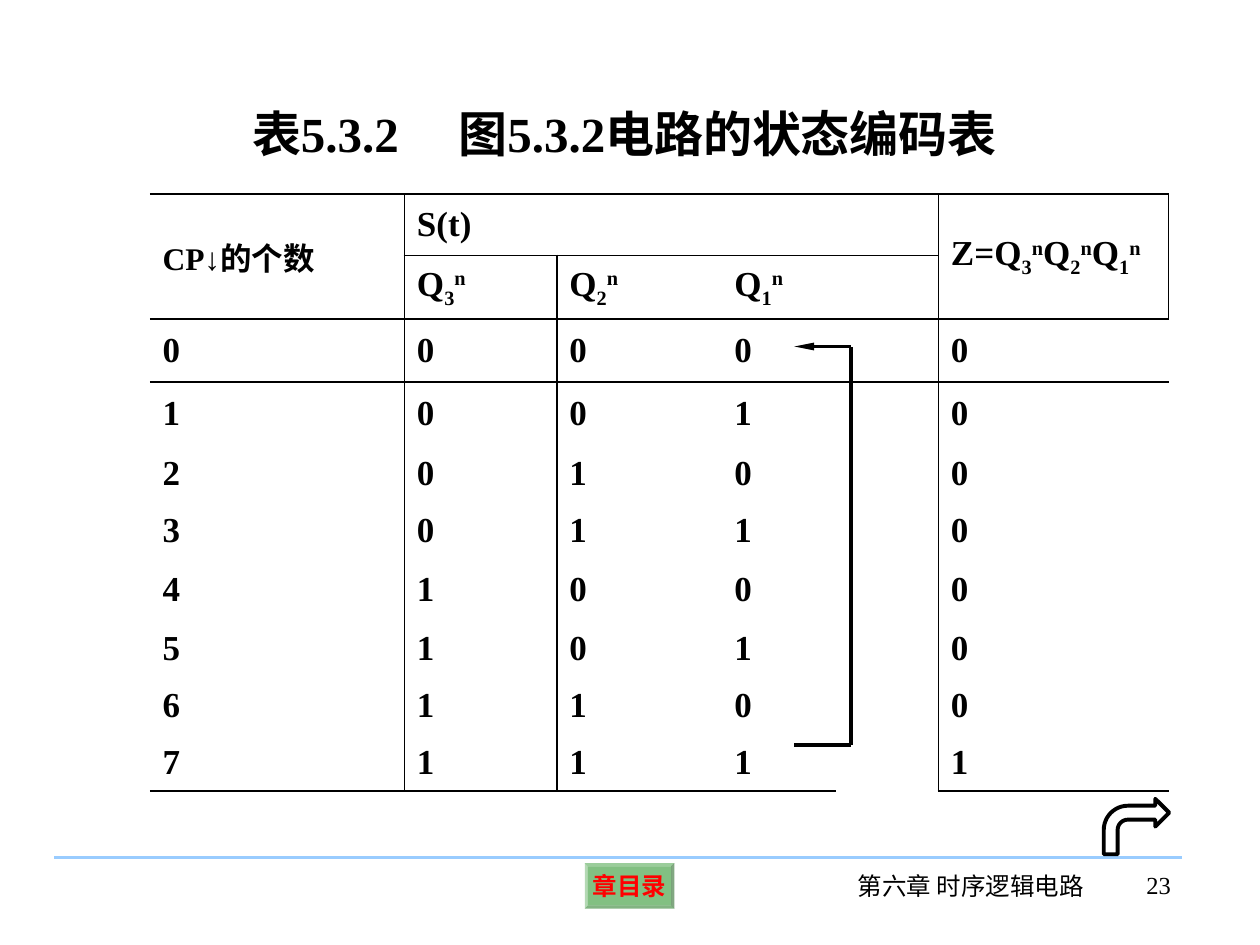
from dataclasses import dataclass

from lxml.etree import SubElement
from pptx import Presentation
from pptx.dml.color import RGBColor
from pptx.enum.shapes import MSO_CONNECTOR, MSO_SHAPE
from pptx.enum.text import MSO_ANCHOR, MSO_AUTO_SIZE, PP_ALIGN
from pptx.oxml.ns import qn
from pptx.util import Pt


@dataclass(frozen=True)
class Theme:
    font: str = "Times New Roman"
    ink: RGBColor = RGBColor(0, 0, 0)
    rule: RGBColor = RGBColor(0x99, 0xCC, 0xFF)
    button: RGBColor = RGBColor(0, 0x80, 0)
    button_text: RGBColor = RGBColor(0xFF, 0, 0)
    title_size: float = 28
    table_size: float = 20
    label_size: float = 18
    footer_size: float = 14
    stroke: float = 2.25
    border: float = 1.08


THEME = Theme()
NO_STYLE = "{2D5ABB26-0587-4C30-8999-92F81FD0307C}"
BASELINES = {"_": "-25000", "^": "30000"}
COLUMN_WIDTHS = [145.4, 87.1, 94.3, 65.5, 58.3, 131.6]
ROW_HEIGHTS = [35.1, 36.3, 36, 36, 32.6, 32.6, 34.9, 32.6, 32.6, 32.6]
COUNTS = range(8)
HEADER_ROWS = 2
LAST_ROW = len(ROW_HEIGHTS) - 1
SPACER, OUTPUT = 4, 5


def points(*lengths):
    return [Pt(length) for length in lengths]


def style_run(run, size, color=THEME.ink, bold=False):
    run.font.name = THEME.font
    run.font.size = Pt(size)
    run.font.bold = bold
    run.font.color.rgb = color


def add_title(slide, text, box, tab_stop):
    title = slide.shapes.title
    title.left, title.top, title.width, title.height = points(*box)
    frame = title.text_frame
    frame.text = text
    frame.auto_size = MSO_AUTO_SIZE.NONE
    frame.vertical_anchor = MSO_ANCHOR.TOP
    paragraph = frame.paragraphs[0]
    paragraph.alignment = PP_ALIGN.LEFT
    tabs = SubElement(paragraph._p.get_or_add_pPr(), qn("a:tabLst"))
    SubElement(tabs, qn("a:tab"), pos=str(Pt(tab_stop)), algn="l")
    style_run(paragraph.runs[0], THEME.title_size, bold=True)


def add_footer(slide, text, box, alignment):
    frame = slide.shapes.add_textbox(*points(*box)).text_frame
    frame.word_wrap = True
    frame.text = text
    frame.paragraphs[0].alignment = alignment
    style_run(frame.paragraphs[0].runs[0], THEME.footer_size)


def add_line(slide, start, end, color=THEME.ink, arrow=False):
    line = slide.shapes.add_connector(MSO_CONNECTOR.STRAIGHT, *points(*start, *end))
    line.line.color.rgb = color
    line.line.width = Pt(THEME.stroke)
    if arrow:
        SubElement(line.line._get_or_add_ln(), qn("a:tailEnd"),
                   type="triangle", w="sm", len="lg")
    SubElement(line._element.spPr, qn("a:effectLst"))


def add_button(slide, text, box):
    button = slide.shapes.add_shape(MSO_SHAPE.BEVEL, *points(*box))
    button.shadow.inherit = False
    button.adjustments[0] = 0.07
    button.fill.solid()
    button.fill.fore_color.rgb = THEME.button
    color = button._element.spPr.find(qn("a:solidFill"))[0]
    SubElement(color, qn("a:alpha"), val="49000")
    button.line.fill.background()
    frame = button.text_frame
    frame.word_wrap = False
    frame.margin_left = frame.margin_right = Pt(0)
    frame.margin_top = frame.margin_bottom = Pt(0)
    frame.vertical_anchor = MSO_ANCHOR.MIDDLE
    frame.text = text
    frame.paragraphs[0].alignment = PP_ALIGN.CENTER
    style_run(frame.paragraphs[0].runs[0], THEME.footer_size, THEME.button_text, True)


def add_next_arrow(slide, box):
    arrow = slide.shapes.add_shape(MSO_SHAPE.BENT_ARROW, *points(*box))
    arrow.shadow.inherit = False
    arrow.fill.background()
    arrow.line.color.rgb = THEME.ink
    arrow.line.width = Pt(THEME.stroke)
    SubElement(arrow.line._get_or_add_ln(), qn("a:round"))


def write_formula(cell, formula, size=THEME.table_size):
    cell.vertical_anchor = MSO_ANCHOR.MIDDLE
    paragraph = cell.text_frame.paragraphs[0]
    baseline = None
    for symbol in formula:
        if symbol in BASELINES:
            baseline = BASELINES[symbol]
            continue
        if baseline or not paragraph.runs or paragraph.runs[-1].font._element.get("baseline"):
            run = paragraph.add_run()
        else:
            run = paragraph.runs[-1]
        run.text += symbol
        style_run(run, size, bold=True)
        if baseline:
            run.font._element.set("baseline", baseline)
        baseline = None


def cell_edges(row, column):
    inner = 1 <= column <= SPACER
    edges = {
        "a:lnL": column in (1, OUTPUT),
        "a:lnR": column in (0, SPACER),
        "a:lnT": row in (0, HEADER_ROWS) or (row == 1 and inner),
        "a:lnB": row in (1, LAST_ROW) or (row == 0 and inner),
    }
    return [edge for edge, shown in edges.items() if shown]


def draw_borders(cell, edges):
    properties = cell._tc.get_or_add_tcPr()
    for edge in edges:
        border = SubElement(properties, qn(edge), w=str(Pt(THEME.border)))
        fill = SubElement(border, qn("a:solidFill"))
        SubElement(fill, qn("a:srgbClr"), val=str(THEME.ink))


def add_state_table(slide, left, top):
    size = sum(COLUMN_WIDTHS), sum(ROW_HEIGHTS)
    table = slide.shapes.add_table(
        len(ROW_HEIGHTS), len(COLUMN_WIDTHS), *points(left, top, *size)).table
    table._tbl.tblPr.find(qn("a:tableStyleId")).text = NO_STYLE
    table.first_row = table.horz_banding = False
    for column, width in zip(table.columns, COLUMN_WIDTHS):
        column.width = Pt(width)
    for row, height in zip(table.rows, ROW_HEIGHTS):
        row.height = Pt(height)
    for row in range(len(ROW_HEIGHTS)):
        for column in range(len(COLUMN_WIDTHS)):
            cell = table.cell(row, column)
            draw_borders(cell, cell_edges(row, column))
            cell.fill.background()

    merges = [((0, 0), (1, 0)), ((0, 1), (0, SPACER)),
              ((0, OUTPUT), (1, OUTPUT)), ((4, SPACER), (LAST_ROW, SPACER))]
    for first, last in merges:
        table.cell(*first).merge(table.cell(*last))

    write_formula(table.cell(0, 0), "CP↓的个数", THEME.label_size)
    write_formula(table.cell(0, 1), "S(t)")
    write_formula(table.cell(0, OUTPUT), "Z=Q_3^nQ_2^nQ_1^n")
    for column, bit in enumerate((3, 2, 1), start=1):
        write_formula(table.cell(1, column), f"Q_{bit}^n")
    for count in COUNTS:
        row = count + HEADER_ROWS
        for column, digit in enumerate(f"{count}{count:03b}"):
            write_formula(table.cell(row, column), digit)
        write_formula(table.cell(row, OUTPUT), str(int(count == COUNTS[-1])))


def add_cycle_arrow(slide, left, right, top, bottom):
    corners = [(left, bottom), (right, bottom), (right, top), (left, top)]
    for start, end in zip(corners, corners[1:]):
        add_line(slide, start, end, arrow=end == corners[-1])


def main():
    presentation = Presentation()
    presentation.slide_width, presentation.slide_height = points(720, 540)
    slide = presentation.slides.add_slide(presentation.slide_layouts[5])
    add_button(slide, "章目录", (334.2, 493.2, 51.2, 26))
    add_line(slide, (31, 490), (675.4, 490), THEME.rule)
    add_footer(slide, "第六章 时序逻辑电路", (479.5, 494, 150.5, 36), PP_ALIGN.CENTER)
    add_footer(slide, "23", (614.2, 493.5, 62, 36), PP_ALIGN.RIGHT)
    add_state_table(slide, 85.7, 110.9)
    add_cycle_arrow(slide, 454, 486.5, 198, 425.5)
    add_title(slide, "表5.3.2\t图5.3.2电路的状态编码表", (136.8, 55.4, 467.3, 41), 118)
    add_next_arrow(slide, (630.7, 456.5, 37.4, 31.7))
    presentation.save("out.pptx")


if __name__ == "__main__":
    main()
